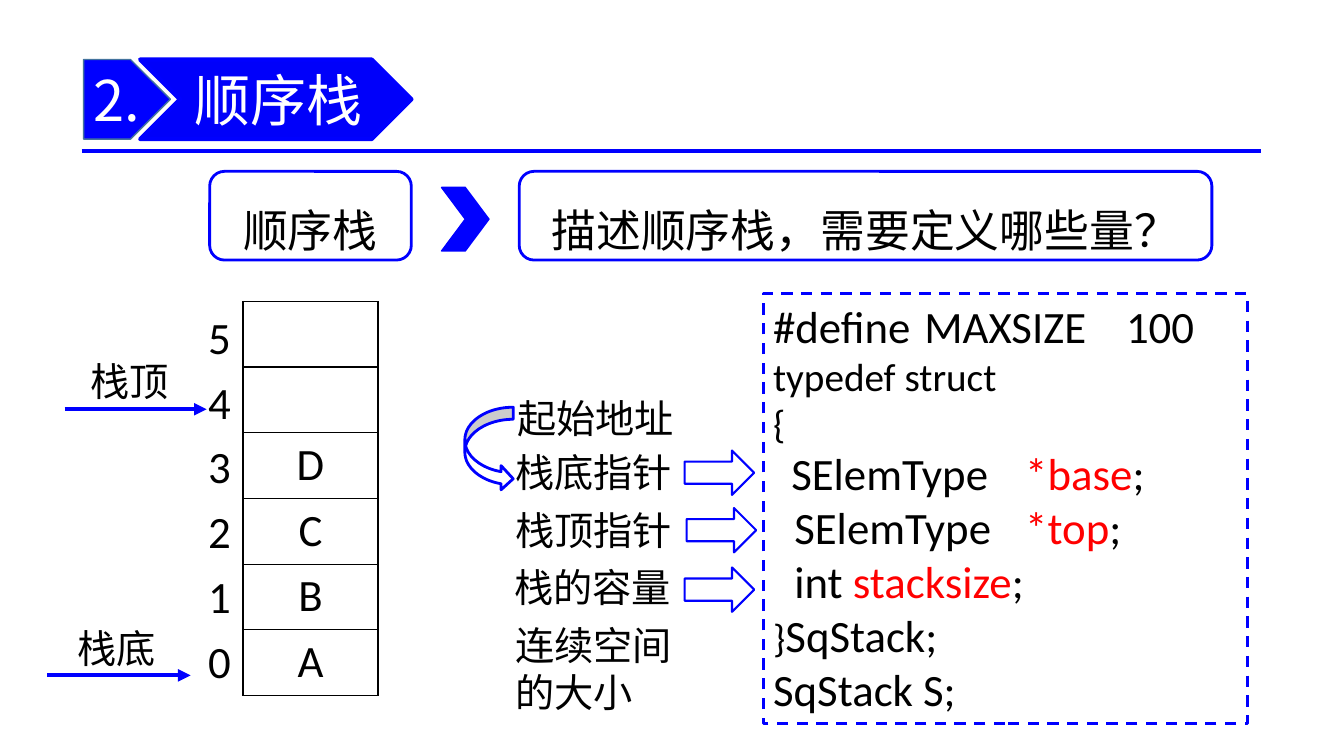
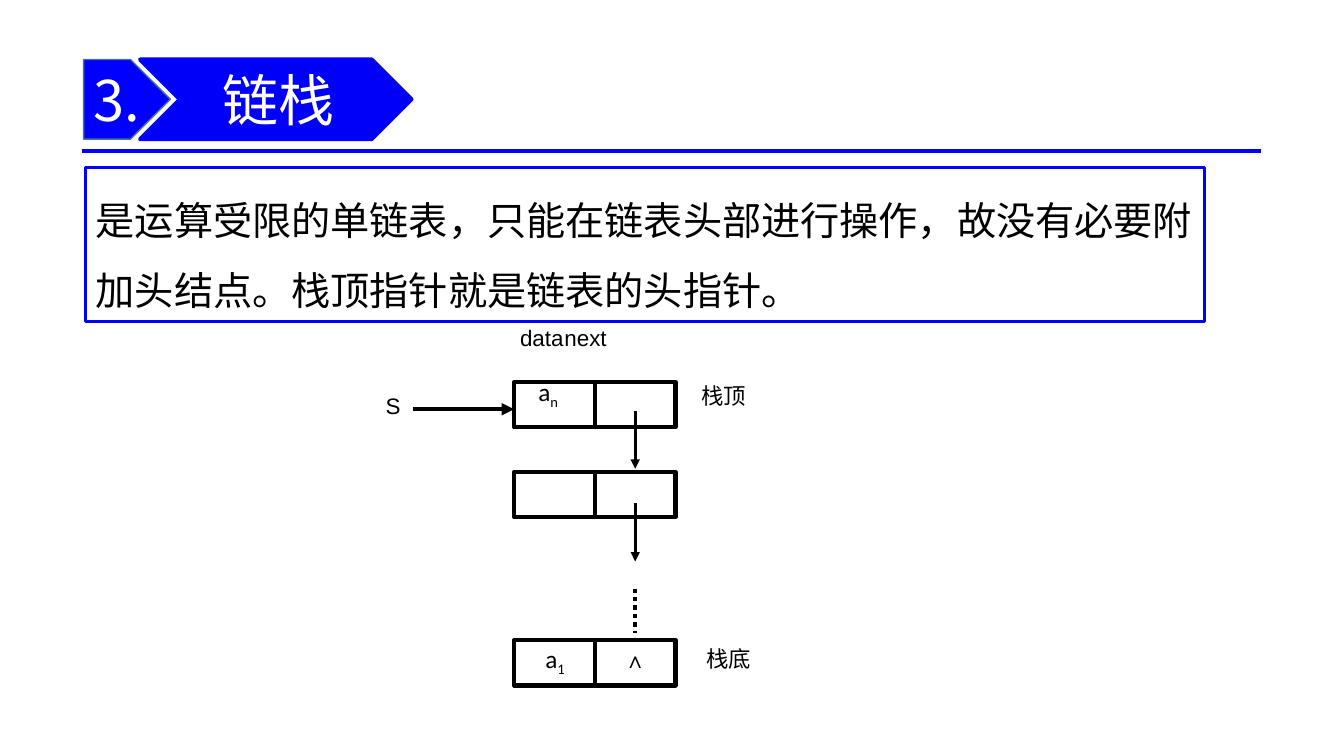
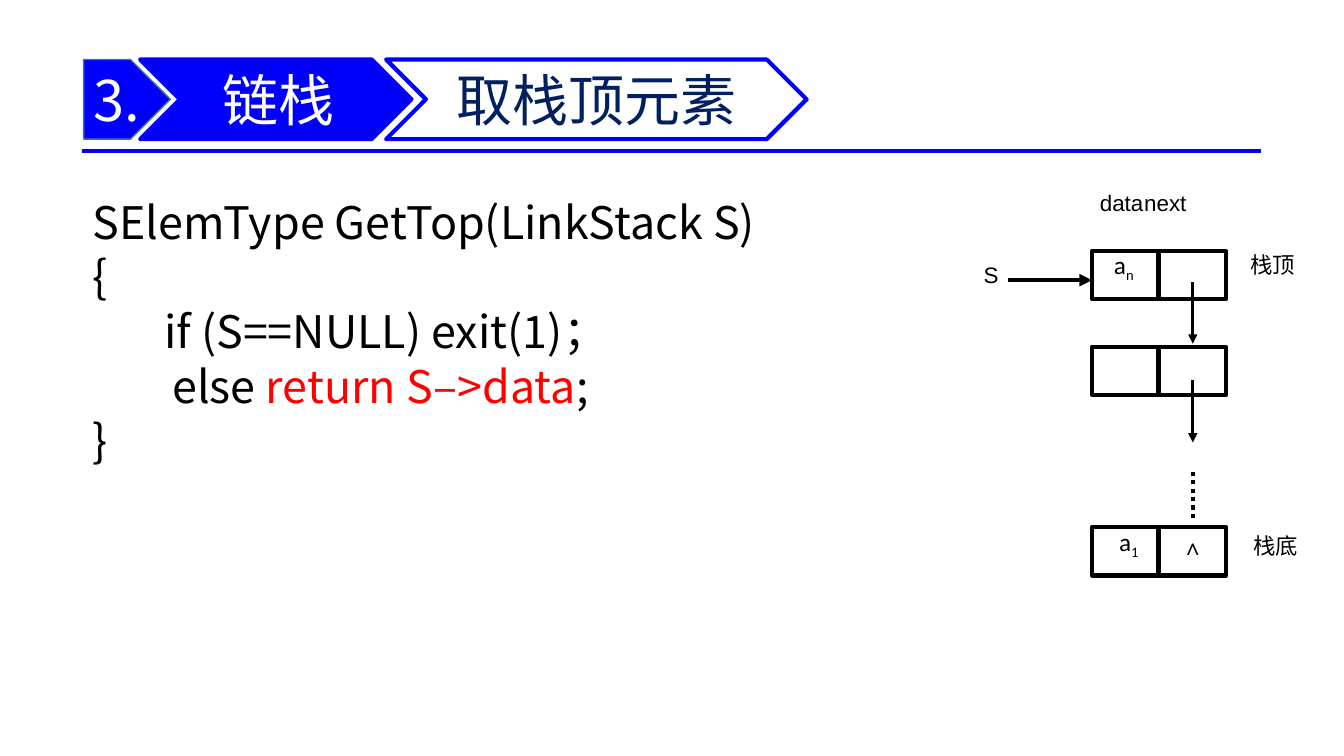
"""Build three slides on sequential and linked stacks."""
from dataclasses import dataclass
from typing import Any

import lxml.etree
import pptx
import pptx.dml.color
import pptx.enum.dml
import pptx.enum.shapes
import pptx.enum.text
import pptx.oxml.ns
import pptx.presentation
import pptx.slide
import pptx.text.text
import pptx.util

EMU_PER_PX = 9144
BLUE, DEEP_BLUE, NAVY, STEEL = "0000FF", "0000FA", "002060", "43739E"
BLACK, WHITE, RED = "000000", "FFFFFF", "FF0000"
CJK, CALIBRI, ARIAL, TIMES = "Noto Sans CJK SC", "Calibri", "Arial", "Times New Roman"
ALIGN = pptx.enum.text.PP_ALIGN
ANCHOR = pptx.enum.text.MSO_ANCHOR
SHAPE = pptx.enum.shapes.MSO_SHAPE
DASH = pptx.enum.dml.MSO_LINE
qn = pptx.oxml.ns.qn


@dataclass(frozen=True)
class Box:
    """A rectangle in px."""
    left: int
    top: int
    width: int
    height: int

    def emu(self) -> tuple[int, ...]:
        """Return the rectangle in EMU."""
        return tuple(px(v) for v in (self.left, self.top, self.width, self.height))


@dataclass(frozen=True)
class Span:
    """A run of text that may differ from its style."""
    text: str
    color: str = ""
    size: int = 0
    baseline: int = 0


@dataclass(frozen=True)
class Para:
    """A paragraph with a first-line indent and tab stops in px."""
    spans: tuple[Span, ...]
    indent: int = 0
    tabs: tuple[int, ...] = ()


@dataclass(frozen=True)
class Style:
    """Text format shared by the paragraphs of one box."""
    size: int
    font: str = CJK
    color: str = BLACK
    align: Any = ALIGN.LEFT
    anchor: Any = ANCHOR.TOP
    spacing: Any = 1.0
    insets: tuple[int, int, int, int] = (10, 5, 10, 5)
    wrap: bool = True


@dataclass(frozen=True)
class Outline:
    """Line colour, width in points and dash."""
    color: str
    width: float
    dash: Any = None


@dataclass(frozen=True)
class Heading:
    """The numbered heading of a slide."""
    number: str
    title: str
    left: int
    align: Any


@dataclass(frozen=True)
class Diagram:
    """Placement of the linked stack, designed on a 160 by 301 grid."""
    left: int
    top: int
    width: int
    height: int
    first_top: int
    last_top: int

    def x(self, offset: int) -> int:
        """Map a horizontal grid offset to px."""
        return self.left + round(offset * self.width / 160)

    def y(self, offset: int) -> int:
        """Map a vertical grid offset to px."""
        return self.top + round(offset * self.height / 301)

    def box(self, left: int, top: int, width: int, height: int) -> Box:
        """Map a grid rectangle to px."""
        x, y = self.x(left), self.y(top)
        return Box(x, y, self.x(left + width) - x, self.y(top + height) - y)


BLUE_LINE = Outline(BLUE, 2)
NODE_LINE = Outline(BLACK, 3)
LINK_LINE = Outline(BLACK, 2.25)
LABEL = Style(28)
BANNER = Style(32, align=ALIGN.CENTER, anchor=ANCHOR.MIDDLE, spacing=1.5)
CODE = Style(32, CALIBRI)
NOTE = Style(16, ARIAL)
CENTERED_NOTE = Style(16, ARIAL, align=ALIGN.CENTER)
NODE_TEXT = Style(18, CALIBRI, wrap=False)
NUMBER = Style(40, color=WHITE, anchor=ANCHOR.MIDDLE)


def px(length: float) -> int:
    """Turn px into EMU."""
    return pptx.util.Emu(round(length * EMU_PER_PX))


def rgb(value: str) -> pptx.dml.color.RGBColor:
    """Turn a hex string into a colour."""
    return pptx.dml.color.RGBColor.from_string(value)


def apply(target: Any, values: dict[str, Any]) -> None:
    """Set each named attribute on the target."""
    for name, value in values.items():
        setattr(target, name, value)


def plain(text: str, indent: int = 0, tabs: tuple[int, ...] = ()) -> Para:
    """Make a paragraph of one span."""
    return Para((Span(text),), indent, tabs)


def add_span(para: Any, span: Span, style: Style) -> None:
    """Add one formatted run to a paragraph."""
    run = para.add_run()
    run.text = span.text
    apply(run.font, {"size": pptx.util.Pt(span.size or style.size),
                     "name": style.font, "bold": False})
    run.font.color.rgb = rgb(span.color or style.color)
    properties = run._r.get_or_add_rPr()
    lxml.etree.SubElement(properties, qn("a:ea"), typeface=CJK)
    if span.baseline:
        properties.set("baseline", str(span.baseline * 1000))


def write(frame: Any, paras: list[Para], style: Style) -> None:
    """Fill a text frame with formatted paragraphs."""
    for index, item in enumerate(paras):
        para = frame.add_paragraph() if index else frame.paragraphs[0]
        apply(para, {"alignment": style.align, "line_spacing": style.spacing,
                     "space_before": pptx.util.Pt(0)})
        properties = para._p.get_or_add_pPr()
        properties.set("marL", "0")
        properties.set("indent", str(px(item.indent)))
        lxml.etree.SubElement(properties, qn("a:buNone"))
        if item.tabs:
            stops = lxml.etree.SubElement(properties, qn("a:tabLst"))
            for stop in item.tabs:
                lxml.etree.SubElement(stops, qn("a:tab"), pos=str(px(stop)), algn="l")
        for span in item.spans:
            add_span(para, span, style)


def set_text(shape: Any, paras: list[Para], style: Style) -> None:
    """Format the text frame of a shape and write into it."""
    left, top, right, bottom = map(px, style.insets)
    apply(shape.text_frame, {
        "word_wrap": style.wrap, "auto_size": pptx.enum.text.MSO_AUTO_SIZE.NONE,
        "vertical_anchor": style.anchor, "margin_left": left, "margin_top": top,
        "margin_right": right, "margin_bottom": bottom})
    write(shape.text_frame, paras, style)


def place(shape: Any, box: Box) -> None:
    """Move and size a shape."""
    apply(shape, dict(zip(("left", "top", "width", "height"), box.emu())))


def paint(shape: Any, fill: str, outline: Outline) -> None:
    """Set the fill and outline of a shape."""
    shape.fill.solid()
    shape.fill.fore_color.rgb = rgb(fill)
    draw_outline(shape.line, outline)


def draw_outline(line: Any, outline: Outline) -> None:
    """Set colour, width and dash of a line."""
    line.color.rgb = rgb(outline.color)
    apply(line, {"width": pptx.util.Pt(outline.width), "dash_style": outline.dash})


def add_shape(page: pptx.slide.Slide, kind: Any, box: Box, fill: str, outline: Outline) -> Any:
    """Add a preset shape without a shadow."""
    shape = page.shapes.add_shape(kind, *box.emu())
    shape.shadow.inherit = False
    paint(shape, fill, outline)
    return shape


def add_text(page: pptx.slide.Slide, box: Box, para: Para, style: Style) -> None:
    """Add a text box with one paragraph."""
    set_text(page.shapes.add_textbox(*box.emu()), [para], style)


def add_line(page: pptx.slide.Slide, start: tuple[int, int], end: tuple[int, int],
             outline: Outline, arrow: bool = False) -> Any:
    """Add a straight line, with an arrowhead at its end if asked."""
    line = page.shapes.add_connector(
        pptx.enum.shapes.MSO_CONNECTOR.STRAIGHT, *map(px, start + end))
    draw_outline(line.line, outline)
    properties = line.element.spPr
    if arrow:
        lxml.etree.SubElement(properties.find(qn("a:ln")), qn("a:tailEnd"), type="triangle")
    lxml.etree.SubElement(properties, qn("a:effectLst"))
    return line


def add_column(page: pptx.slide.Slide, box: Box, values: list[str],
               align: Any, framed: bool) -> None:
    """Add a one-column table, framed or bare."""
    table = page.shapes.add_table(len(values), 1, *box.emu()).table
    apply(table, {"first_row": False, "horz_banding": False})
    for cell, value in zip(table.iter_cells(), values):
        if value:
            write(cell.text_frame, [plain(value)], Style(32, CALIBRI, align=align))
        if not framed:
            cell.fill.background()
            continue
        for side in ("lnL", "lnR", "lnT", "lnB"):
            border = lxml.etree.SubElement(
                cell._tc.get_or_add_tcPr(), qn(f"a:{side}"), w=str(pptx.util.Pt(1)))
            ink = lxml.etree.SubElement(border, qn("a:solidFill"))
            lxml.etree.SubElement(ink, qn("a:srgbClr"), val=BLACK)
        cell.fill.solid()
        cell.fill.fore_color.rgb = rgb(WHITE)


def add_page(deck: pptx.presentation.Presentation, layout: int, heading: Heading) -> pptx.slide.Slide:
    """Add a slide with its numbered heading."""
    page = deck.slides.add_slide(deck.slide_layouts[layout])
    plate = add_shape(page, SHAPE.PENTAGON, Box(83, 59, 86, 79), BLUE, Outline(STEEL, 1))
    set_text(plate, [plain(heading.number)], NUMBER)
    add_shape(page, SHAPE.CHEVRON, Box(139, 59, 269, 79), DEEP_BLUE, Outline(BLUE, 3))
    title = page.shapes.title
    place(title, Box(heading.left, 44, 232, 108))
    set_text(title, [plain(heading.title)],
             Style(40, color=WHITE, align=heading.align, anchor=ANCHOR.MIDDLE,
                   insets=(4, 2, 0, 2)))
    page.shapes.element.append(title.element)
    return page


def add_master_rule(deck: pptx.presentation.Presentation, page: pptx.slide.Slide) -> None:
    """Put the rule under the headings on the slide master."""
    rule = add_line(page, (81, 150), (1251, 150), Outline(BLUE, 3))
    rule.element.xpath(".//p:cNvPr")[0].set("id", "100")
    deck.slide_master.shapes.element.append(rule.element)


def add_linked_stack(page: pptx.slide.Slide, diagram: Diagram) -> None:
    """Draw the linked stack from top node to bottom node."""
    x, y, box = diagram.x, diagram.y, diagram.box
    for top in (0, 89, 256):
        add_shape(page, SHAPE.RECTANGLE, box(0, top, 160, 45), WHITE, NODE_LINE)
        add_line(page, (x(80), y(top)), (x(80), y(top + 45)), NODE_LINE)
    for start, end in ((29, 86), (120, 178)):
        add_line(page, (x(120), y(start)), (x(120), y(end)), LINK_LINE, True)
    add_line(page, (x(120), y(205)), (x(120), y(249)), Outline(BLACK, 3, DASH.ROUND_DOT))
    add_line(page, (x(-100), y(27)), (x(0), y(27)), NODE_LINE, True)
    add_text(page, box(-10, -62, 170, 37), plain("data\tnext", 6, (67,)), NOTE)
    add_text(page, box(171, -5, 110, 37), plain("栈顶", 5), NOTE)
    add_text(page, box(181, 256, 110, 37), plain("栈底"), NOTE)
    add_text(page, box(90, 257, 60, 37), plain("∧"), CENTERED_NOTE)
    add_text(page, box(-150, 5, 60, 37), plain("S"), CENTERED_NOTE)
    for offset, top, index in ((14, diagram.first_top, "n"), (21, diagram.last_top, "1")):
        add_text(page, Box(x(offset), top, 41, 40),
                 Para((Span("a"), Span(index, baseline=-25))), NODE_TEXT)


def build_sequential(deck: pptx.presentation.Presentation) -> None:
    """Build the slide on the sequential stack."""
    page = add_page(deck, 5, Heading("2.", "顺序栈", 189, ALIGN.LEFT))
    add_master_rule(deck, page)
    add_column(page, Box(241, 299, 134, 391), ["", "", "D", "C", "B", "A"], ALIGN.CENTER, True)
    add_column(page, Box(157, 304, 82, 386), list("543210"), ALIGN.RIGHT, False)
    for text, left, top, start, end in (("栈顶", 80, 350, 64, 205), ("栈底", 67, 614, 47, 189)):
        add_text(page, Box(left, top, 100, 57), plain(text), LABEL)
        add_line(page, (start, top + 56), (end, top + 56), Outline(BLUE, 3), True)
    for text, left, width in (("顺序栈", 208, 200), ("描述顺序栈，需要定义哪些量？", 515, 687)):
        banner = add_shape(page, SHAPE.ROUNDED_RECTANGLE, Box(left, 170, width, 88),
                           WHITE, BLUE_LINE)
        set_text(banner, [plain(text)], BANNER)
    add_shape(page, SHAPE.CHEVRON, Box(438, 186, 47, 63), BLUE, Outline(BLUE, 1))
    listing = add_shape(page, SHAPE.RECTANGLE, Box(757, 291, 480, 427), WHITE,
                        Outline(BLUE, 2, DASH.DASH))
    set_text(listing, [
        plain("#define\tMAXSIZE\t100", 0, (158, 341)),
        Para((Span("typedef struct", size=28),)),
        Para((Span("{", size=28),)),
        Para((Span("SElemType\t"), Span("*base", RED), Span(";")), 18, (247,)),
        Para((Span("SElemType\t"), Span("*top", RED), Span(";")), 21, (249,)),
        Para((Span("int "), Span("stacksize", RED), Span(";")), 21),
        Para((Span("}", size=28), Span("SqStack;"))),
        plain("SqStack S;")], CODE)
    for text, left, top, height in (
            ("起始地址", 503, 386, 57), ("栈底指针", 501, 440, 57), ("栈顶指针", 501, 497, 57),
            ("栈的容量", 500, 554, 57), ("连续空间的大小", 501, 611, 104)):
        add_text(page, Box(left, top, 212, height), plain(text), LABEL)
    for left, top in ((679, 447), (681, 504), (679, 563)):
        add_shape(page, SHAPE.RIGHT_ARROW, Box(left, top, 69, 44), WHITE, Outline(BLUE, 1.5))
    add_shape(page, SHAPE.CURVED_RIGHT_ARROW, Box(461, 404, 48, 83), WHITE, BLUE_LINE)


def build_linked(deck: pptx.presentation.Presentation, heading: Heading) -> None:
    """Build the slide that defines the linked stack."""
    page = add_page(deck, 1, heading)
    body = page.placeholders[1]
    place(body, Box(85, 166, 1110, 153))
    paint(body, WHITE, BLUE_LINE)
    set_text(body, [plain("是运算受限的单链表，只能在链表头部进行操作，故没有必要附加头结点。"
                          "栈顶指针就是链表的头指针。")],
             Style(28, TIMES, spacing=1.5, insets=(10, 5, 5, 5)))
    add_linked_stack(page, Diagram(510, 379, 160, 301, 368, 633))


def build_get_top(deck: pptx.presentation.Presentation, heading: Heading) -> None:
    """Build the slide on reading the top element."""
    page = add_page(deck, 1, heading)
    topic = add_shape(page, SHAPE.CHEVRON, Box(383, 59, 417, 79), WHITE, Outline(BLUE, 3))
    set_text(topic, [plain("取栈顶元素")],
             Style(40, color=NAVY, align=ALIGN.CENTER, anchor=ANCHOR.MIDDLE))
    add_linked_stack(page, Diagram(1083, 249, 133, 322, 242, 517))
    body = page.placeholders[1]
    place(body, Box(82, 187, 821, 450))
    set_text(body, [
        plain("SElemType GetTop(LinkStack S)"),
        plain("{"),
        plain("if (S==NULL) exit(1)；", 71),
        Para((Span("else "), Span("return S–>data", RED), Span(";")), 79),
        plain("}")], Style(32, spacing=pptx.util.Pt(39)))


def main() -> None:
    """Build and save the deck."""
    deck = pptx.Presentation()
    apply(deck, {"slide_width": px(1333), "slide_height": px(750)})
    linked = Heading("3.", "链栈", 158, ALIGN.CENTER)
    build_sequential(deck)
    build_linked(deck, linked)
    build_get_top(deck, linked)
    deck.save("out.pptx")


if __name__ == "__main__":
    main()
